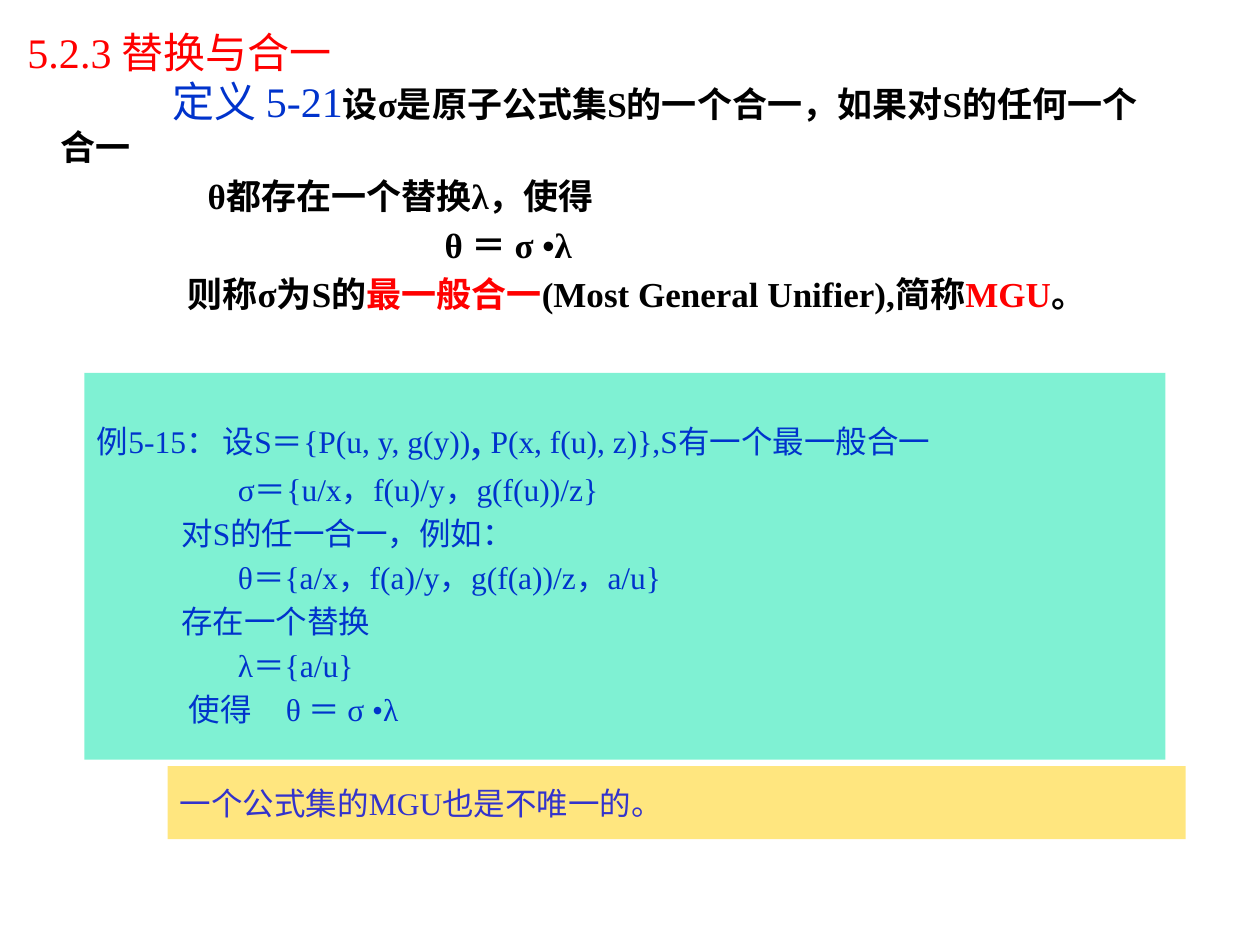
from lxml.etree import SubElement
from pptx import Presentation
from pptx.dml.color import RGBColor
from pptx.enum.shapes import MSO_SHAPE as SHAPE
from pptx.enum.text import MSO_ANCHOR as ANCHOR
from pptx.oxml.ns import qn
from pptx.util import Inches, Pt

SERIF, SANS = "Times New Roman", "Noto Sans CJK SC"
RED, BLUE, VIOLET, BLACK = "FF0000", "0033CC", "3333CC", "000000"


def rgb(value):
    return RGBColor.from_string(value)


def set_indent(p, indent, tab=None):
    """Indent the first line and, if asked, add one tab stop (inches)."""
    pPr = p._p.get_or_add_pPr()
    pPr.set("marL", "0")
    pPr.set("indent", str(Inches(indent)))
    if tab:
        tabs = SubElement(pPr, qn("a:tabLst"))
        SubElement(tabs, qn("a:tab"), pos=str(Inches(tab)), algn="l")


def add_run(p, text, size, color, font=SERIF, bold=False):
    r = p.add_run()
    r.text = text
    r.font.size, r.font.name, r.font.bold = Pt(size), font, bold
    r.font.color.rgb = rgb(color)


def next_paragraph(tf, i, gap):
    if i == 0:
        return tf.paragraphs[0]
    p = tf.add_paragraph()
    p.space_before = Pt(gap)
    return p


def add_text_box(slide, box):
    tf = slide.shapes.add_textbox(*map(Inches, box)).text_frame
    tf.word_wrap = True
    return tf


def add_panel(slide, box, fill):
    """Half-transparent rectangle with vertically centred text."""
    sp = slide.shapes.add_shape(SHAPE.RECTANGLE, *map(Inches, box))
    sp.shadow.inherit = False
    sp.fill.solid()
    sp.fill.fore_color.rgb = rgb(fill)
    color = sp._element.spPr.find(qn("a:solidFill"))[0]
    SubElement(color, qn("a:alpha"), val="50000")
    sp.line.fill.background()
    tf = sp.text_frame
    tf.word_wrap = True
    tf.vertical_anchor = ANCHOR.MIDDLE
    return tf


def add_definition(slide, box):
    tf = add_text_box(slide, box)
    # First-line indent, then the runs as (text, size, colour, font, bold)
    body = (20, BLACK, SERIF, True)
    key = (20, RED, SERIF, True)
    lines = [
        (0.89, [("定义 5-21", 24, BLUE), ("设", 20, BLACK, SANS, True),
                ("σ是原子公式集S的一个合一，如果对S的任何一个合一", *body)]),
        (1.17, [("θ都存在一个替换λ，使得", *body)]),
        (3.05, [("θ ＝ σ •λ", *body)]),
        (1.01, [("则称σ为S的", *body), ("最一般合一", *key),
                ("(Most General Unifier),简称", *body),
                ("MGU", *key), ("。", *body)]),
    ]
    for i, (indent, runs) in enumerate(lines):
        p = next_paragraph(tf, i, 4)
        set_indent(p, indent)
        for run in runs:
            add_run(p, *run)


def add_example(slide, box):
    tf = add_panel(slide, box, "00E4A8")
    step, formula = 0.67, 1.12
    # First-line indent, tab stop, text
    lines = [
        (0, 1.3, "例5-15：\t设S＝{P(u, y, g(y))"),
        (formula, None, "σ＝{u/x，f(u)/y，g(f(u))/z}"),
        (step, None, "对S的任一合一，例如："),
        (formula, None, "θ＝{a/x，f(a)/y，g(f(a))/z，a/u}"),
        (step, None, "存在一个替换"),
        (formula, None, "λ＝{a/u}"),
        (0.73, 1.9, "使得\tθ ＝ σ •λ"),
    ]
    for i, (indent, tab, text) in enumerate(lines):
        p = next_paragraph(tf, i, 3.6)
        set_indent(p, indent, tab)
        add_run(p, text, 18, BLUE)
    # The first line goes on after a large comma
    p = tf.paragraphs[0]
    add_run(p, ",", 28, BLUE)
    add_run(p, " P(x, f(u), z)},S有一个最一般合一", 18, BLUE)
    for p in tf.paragraphs:
        p.alignment = 1


def add_remark(slide, box):
    p = add_panel(slide, box, "FFCF01").paragraphs[0]
    p.alignment = 1
    add_run(p, "一个公式集的MGU也是不唯一的。", 18, VIOLET)


def add_heading(slide, box):
    p = add_text_box(slide, box).paragraphs[0]
    p.line_spacing = 1.4
    add_run(p, "5.2.3 ", 24, RED)
    add_run(p, "替换与合一", 24, RED, SANS)


def main():
    prs = Presentation()
    prs.slide_width, prs.slide_height = Inches(10), Inches(7.5)
    slide = prs.slides.add_slide(prs.slide_layouts[6])
    add_definition(slide, (0.38, 0.55, 8.81, 2.4))
    add_example(slide, (0.67, 2.96, 8.58, 3.07))
    add_remark(slide, (1.33, 6.08, 8.08, 0.58))
    add_heading(slide, (0.12, 0, 2.73, 0.67))
    prs.save("out.pptx")


if __name__ == "__main__":
    main()
